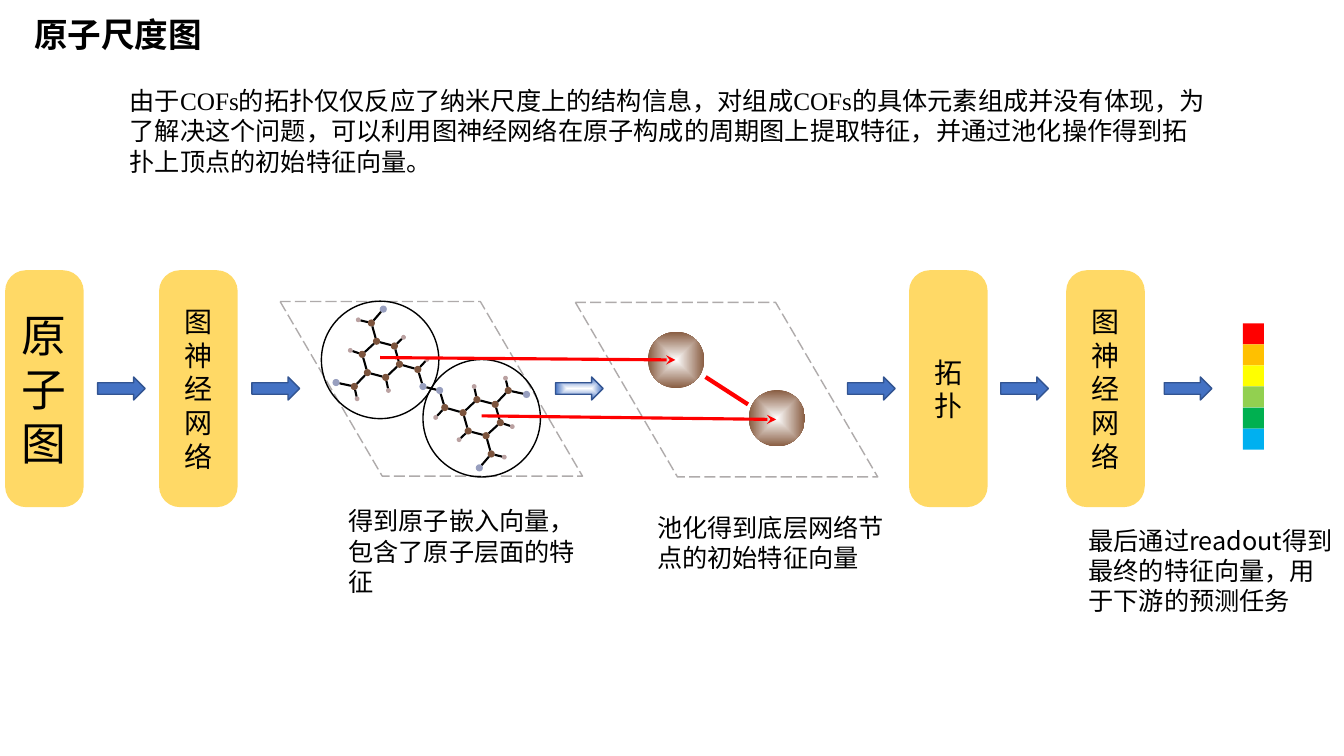
from math import hypot

from lxml.etree import SubElement
from pptx import Presentation
from pptx.dml.color import RGBColor
from pptx.enum.dml import MSO_LINE
from pptx.enum.shapes import MSO_CONNECTOR, MSO_SHAPE
from pptx.enum.text import MSO_ANCHOR, MSO_AUTO_SIZE, PP_ALIGN
from pptx.oxml import parse_xml
from pptx.oxml.ns import nsdecls, qn
from pptx.util import Cm, Pt

BLACK = RGBColor(0x00, 0x00, 0x00)
RED = RGBColor(0xFF, 0x00, 0x00)
YELLOW = RGBColor(0xFF, 0xD9, 0x66)
BLUE = RGBColor(0x44, 0x72, 0xC4)
DARK_BLUE = RGBColor(0x32, 0x54, 0x91)
GREY = RGBColor(0xAF, 0xAB, 0xAB)
BROWN = RGBColor(0x88, 0x5C, 0x41)
CARBON = RGBColor(0x7C, 0x54, 0x3D)
NITROGEN = RGBColor(0x98, 0x9F, 0xBF)
HYDROGEN = RGBColor(0xBA, 0xA1, 0xA1)
FEATURE_COLOURS = [RED, RGBColor(0xFF, 0xC0, 0x00), RGBColor(0xFF, 0xFF, 0x00),
                   RGBColor(0x92, 0xD0, 0x50), RGBColor(0x00, 0xB0, 0x50),
                   RGBColor(0x00, 0xB0, 0xF0)]

SANS = "Noto Sans CJK SC"
SERIF = "Times New Roman"

ELEMENTS = {"C": (CARBON, 0.09), "N": (NITROGEN, 0.09), "H": (HYDROGEN, 0.06)}
# Atom centres (cm) of one half of the molecule; the other half is its point reflection.
ATOMS = {
    "N1": (8.47, 9.64), "C1": (8.93, 9.74), "C2": (9.26, 9.39), "C3": (9.13, 8.93),
    "C4": (9.49, 8.6), "C5": (9.94, 8.72), "C6": (10.07, 9.18), "C7": (9.72, 9.51),
    "C8": (10.53, 9.31), "N2": (10.66, 9.74), "C9": (9.36, 8.14), "N3": (9.66, 7.79),
    "H1": (9.0, 10.05), "H2": (9.79, 9.84), "H3": (8.83, 8.83), "H4": (9.03, 8.06),
    "H5": (10.17, 8.5), "H6": (10.76, 9.06),
}
BONDS = ("N1-C1 C1-H1 C1-C2 C2-C7 C2-C3 C3-C4 C4-C5 C5-C6 C6-C7 C6-C8 C7-H2 "
         "C8-N2 C8-H6 C4-C9 C5-H5 C9-N3 C9-H4 C3-H3").split()
MIRROR_SUM = (21.74, 19.58)


class Page:
    """Draws styled elements on one slide; all lengths are in centimetres."""

    def __init__(self, deck):
        self.slide = deck.slides.add_slide(deck.slide_layouts[6])
        self.shapes = self.slide.shapes

    def start_group(self):
        self.shapes = self.slide.shapes.add_group_shape().shapes

    def end_group(self):
        self.shapes = self.slide.shapes

    def shape(self, kind, left, top, width, height, fill=None, line=None):
        shape = self.shapes.add_shape(kind, Cm(left), Cm(top), Cm(width), Cm(height))
        shape.shadow.inherit = False
        if fill is None:
            shape.fill.background()
        else:
            shape.fill.solid()
            shape.fill.fore_color.rgb = fill
        if line is None:
            shape.line.fill.background()
        else:
            shape.line.color.rgb = line
            shape.line.width = Pt(1)
        return shape

    def circle(self, centre, radius, fill=None, line=None):
        x, y = centre
        return self.shape(MSO_SHAPE.OVAL, x - radius, y - radius,
                          2 * radius, 2 * radius, fill, line)

    def glow(self, shape, edge):
        """Fill a shape from a white middle to the edge colour."""
        properties = shape._element.spPr
        properties.remove(properties.find(qn("a:solidFill")))
        properties.find(qn("a:prstGeom")).addnext(parse_xml(
            f'<a:gradFill {nsdecls("a")} rotWithShape="1"><a:gsLst>'
            '<a:gs pos="0"><a:srgbClr val="FFFFFF"/></a:gs>'
            f'<a:gs pos="100000"><a:srgbClr val="{edge}"/></a:gs></a:gsLst>'
            '<a:path path="shape"><a:fillToRect l="50000" t="50000" r="50000" b="50000"/>'
            '</a:path></a:gradFill>'))

    def line(self, start, end, colour, width, arrow=False):
        line = self.shapes.add_connector(MSO_CONNECTOR.STRAIGHT,
                                         *(Cm(value) for value in (*start, *end)))
        line.line.color.rgb = colour
        line.line.width = Pt(width)
        properties = line._element.spPr
        if arrow:
            SubElement(properties.find(qn("a:ln")), qn("a:tailEnd"), type="stealth")
        SubElement(properties, qn("a:effectLst"))

    def set_words(self, frame, words, size, font=SANS, bold=False):
        frame.word_wrap = True
        para = frame.paragraphs[0]
        para.text = words
        para.font.size = Pt(size)
        para.font.name = font
        para.font.bold = bold
        para.font.color.rgb = BLACK
        return para

    def text(self, left, top, width, height, words, size=18, font=SANS, bold=False):
        box = self.shapes.add_textbox(Cm(left), Cm(top), Cm(width), Cm(height))
        self.set_words(box.text_frame, words, size, font, bold)
        box.text_frame.auto_size = MSO_AUTO_SIZE.SHAPE_TO_FIT_TEXT

    def block(self, left, words, size=20):
        block = self.shape(MSO_SHAPE.ROUNDED_RECTANGLE, left, 6.81, 1.98, 5.97, YELLOW)
        block.adjustments[0] = 0.265
        block.text_frame.vertical_anchor = MSO_ANCHOR.MIDDLE
        self.set_words(block.text_frame, words, size).alignment = PP_ALIGN.CENTER

    def arrow(self, left):
        return self.shape(MSO_SHAPE.RIGHT_ARROW, left, 9.5, 1.2, 0.58, BLUE, DARK_BLUE)

    def unit_cell(self, left, top):
        cell = self.shape(MSO_SHAPE.PARALLELOGRAM, left, top, 7.62, 4.4, line=GREY)
        cell.adjustments[0] = 0.585
        cell.line.dash_style = MSO_LINE.LONG_DASH
        cell._element.spPr.find(qn("a:xfrm")).set("flipV", "1")

    def bond(self, atoms, first, second):
        """Join two atoms from rim to rim."""
        (x1, y1), (x2, y2) = atoms[first], atoms[second]
        length = hypot(x2 - x1, y2 - y1)
        near = ELEMENTS[first[0]][1] / length
        far = 1 - ELEMENTS[second[0]][1] / length
        start, end = [(x1 + (x2 - x1) * part, y1 + (y2 - y1) * part)
                      for part in (near, far)]
        self.line(start, end, BLACK, 1.5)

    def molecule(self):
        mirrored = {name + "m": (MIRROR_SUM[0] - x, MIRROR_SUM[1] - y)
                    for name, (x, y) in ATOMS.items()}
        atoms = {**ATOMS, **mirrored}
        for name, centre in atoms.items():
            colour, radius = ELEMENTS[name[0]]
            self.circle(centre, radius, colour)
        for pair in BONDS:
            first, second = pair.split("-")
            self.bond(atoms, first, second)
            self.bond(atoms, first + "m", second + "m")
        self.bond(atoms, "N2", "N2m")


def main():
    deck = Presentation()
    deck.slide_width, deck.slide_height = Cm(33.87), Cm(19.05)
    page = Page(deck)

    page.text(0.61, 0.23, 22.78, 1.28, "原子尺度图", 24, SERIF, bold=True)
    page.text(3.02, 2.03, 27.61, 2.56,
              "由于COFs的拓扑仅仅反应了纳米尺度上的结构信息，对组成COFs的具体元素组成并没有体现，"
              "为了解决这个问题，可以利用图神经网络在原子构成的周期图上提取特征，"
              "并通过池化操作得到拓扑上顶点的初始特征向量。", font=SERIF)

    page.block(0.13, "原子图", 32)
    for left, words in ((4.01, "图神经网络"), (22.91, "拓扑"), (26.87, "图神经网络")):
        page.block(left, words)
    for left in (2.46, 6.35, 21.36, 25.22, 29.34):
        page.arrow(left)

    page.start_group()
    page.unit_cell(7.06, 7.6)
    page.molecule()
    page.end_group()
    page.glow(page.arrow(14), BLUE)

    page.start_group()
    for centre in ((17.04, 9.07), (19.58, 10.54)):
        page.glow(page.circle(centre, 0.71, BROWN), BROWN)
    page.unit_cell(14.5, 7.62)
    page.end_group()
    page.line((17.78, 9.5), (18.85, 10.19), RED, 3)

    pooling = (((9.58, 9.07), (17.02, 9.07)), ((12.14, 10.54), (19.56, 10.57)))
    for linker, _ in pooling:
        page.circle(linker, 1.48, line=BLACK)
    for (x, y), vertex in pooling:
        page.line((x, y - 0.06), vertex, RED, 2.25, arrow=True)

    for row, colour in enumerate(FEATURE_COLOURS):
        page.shape(MSO_SHAPE.RECTANGLE, 31.32, 8.15 + 0.53 * row, 0.53, 0.53, colour)

    page.text(8.53, 12.62, 6.68, 2.56, "得到原子嵌入向量，包含了原子层面的特征")
    page.text(16.31, 12.78, 6.68, 1.8, "池化得到底层网络节点的初始特征向量")
    page.text(27.18, 13.11, 6.68, 2.56, "最后通过readout得到最终的特征向量，用于下游的预测任务")
    deck.save("out.pptx")


if __name__ == "__main__":
    main()
